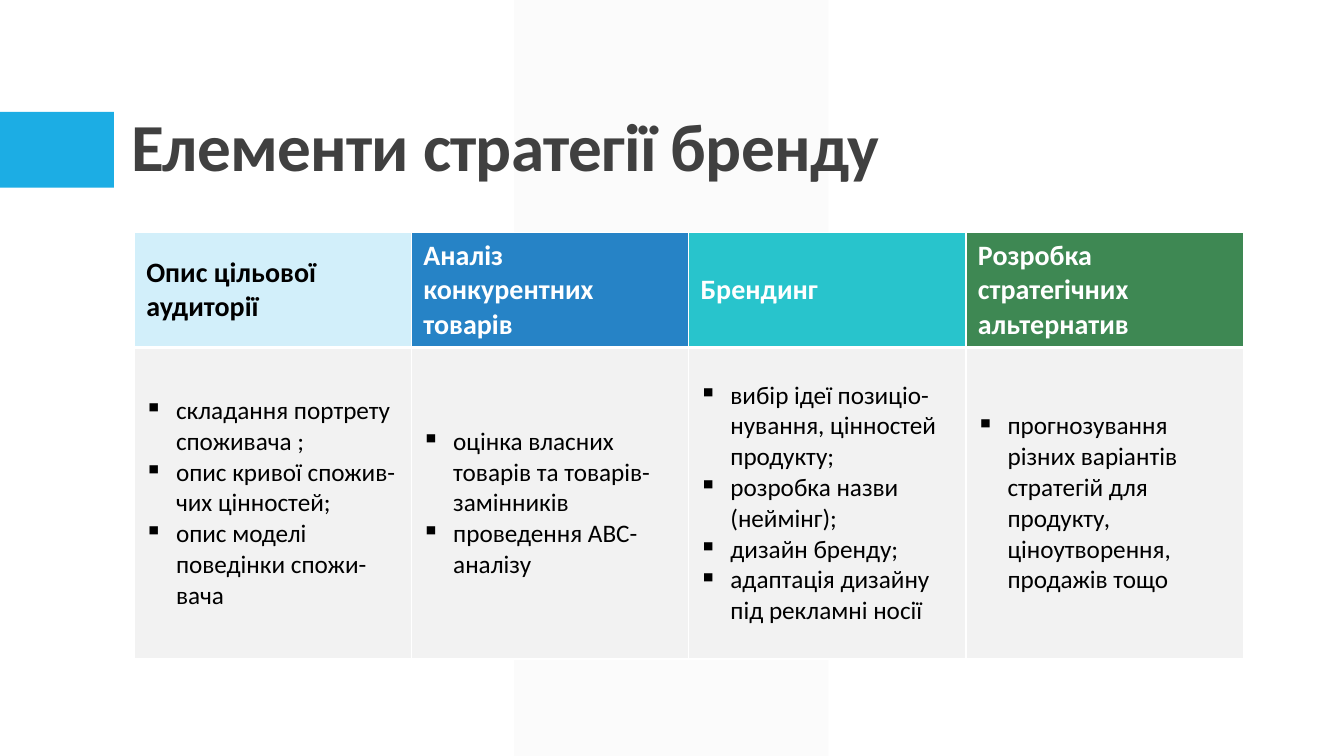
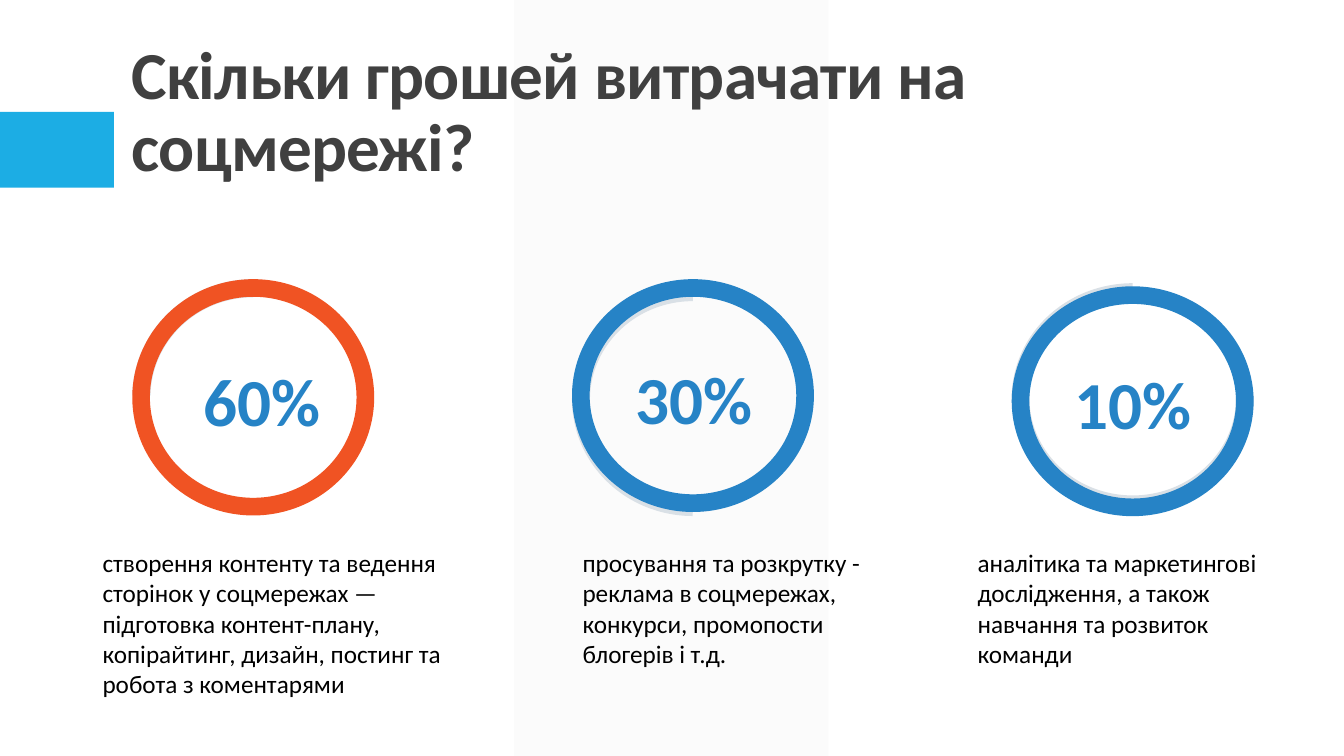
from lxml.etree import SubElement
from pptx import Presentation
from pptx.dml.color import RGBColor
from pptx.enum.shapes import MSO_SHAPE
from pptx.enum.text import MSO_ANCHOR, MSO_AUTO_SIZE, PP_ALIGN
from pptx.oxml import parse_xml
from pptx.oxml.ns import nsdecls, qn
from pptx.util import Pt

FONT = "Calibri"
BLUE, ORANGE, ACCENT = "2683C6", "F05323", "1CADE4"
BLACK, WHITE, DARK, PALE, TRACK = "000000", "FFFFFF", "404040", "F2F2F2", "D9E0E6"

TABLE_TITLE = "Елементи стратегії бренду"
COLUMNS = [
    ("Опис цільової аудиторії", "D2EFFA", BLACK,
     ["складання портрету споживача ;",
      "опис кривої спожив-чих цінностей;",
      "опис моделі поведінки спожи-вача"]),
    ("Аналіз конкурентних товарів", BLUE, WHITE,
     ["оцінка власних товарів та товарів-замінників",
      "проведення АВС-аналізу"]),
    ("Брендинг", "28C4CC", WHITE,
     ["вибір ідеї позиціо-нування, цінностей продукту;",
      "розробка назви (неймінг);",
      "дизайн бренду;",
      "адаптація дизайну під рекламні носії"]),
    ("Розробка стратегічних альтернатив", "3E8853", WHITE,
     ["прогнозування різних варіантів стратегій для продукту, "
      "ціноутворення, продажів тощо"]),
]

BUDGET_TITLE = "Скільки грошей витрачати на соцмережі?"
SHARES = [
    dict(value="60%", color=ORANGE, start=108.57, ring=(199.4, 168.8),
         track=199.4, value_at=(187.5, 253.4), note_at=(66.2, 268),
         note="створення контенту та ведення сторінок у соцмережах — підготовка "
              "контент-плану, копірайтинг, дизайн, постинг та робота з коментарями"),
    dict(value="30%", color=BLUE, start=54.06, ring=(199.4, 166.3),
         track=202.3, value_at=(496, 252), note_at=(409, 252.7),
         note="просування та розкрутку - реклама в соцмережах, конкурси, "
              "промопости блогерів і т.д."),
    dict(value="10%", color=BLUE, start=214.99, ring=(204.5, 164.2),
         track=202.3, value_at=(809.3, 255.6), note_at=(691.2, 243.4),
         note="аналітика та маркетингові дослідження, а також навчання "
              "та розвиток команди"),
]
RING_LEFT, RING_STEP, RING_WIDTH, RING_BAND = 94.5, 314.1, 172.8, 12.6


def rgb(value):
    return RGBColor.from_string(value)


def write(tf, lines, size=18, color=BLACK, bold=False, align=PP_ALIGN.LEFT,
          indent=0, line_spacing=None, tracking=None):
    for i, line in enumerate(lines):
        p = tf.paragraphs[0] if i == 0 else tf.add_paragraph()
        p.alignment = align
        if line_spacing:
            p.line_spacing = line_spacing
        if indent:
            pPr = p._p.get_or_add_pPr()
            pPr.set("marL", str(Pt(indent)))
            pPr.set("indent", str(Pt(-indent)))
            SubElement(pPr, qn("a:buChar"), char="▪")
        r = p.add_run()
        r.text = line
        r.font.name, r.font.size, r.font.bold = FONT, Pt(size), bold
        r.font.color.rgb = rgb(color)
        if tracking:
            r._r.get_or_add_rPr().set("spc", str(round(tracking * 100)))


def add_figure(shapes, kind, box, color, alpha=None):
    sp = shapes.add_shape(kind, *map(Pt, box))
    sp.shadow.inherit = False
    sp.fill.solid()
    sp.fill.fore_color.rgb = rgb(color)
    sp.line.fill.background()
    if alpha:
        clr = sp.element.spPr.find(".//" + qn("a:srgbClr"))
        SubElement(clr, qn("a:alpha"), val=str(alpha * 1000))
    return sp


def add_label(shapes, box, text, **style):
    tf = shapes.add_textbox(*map(Pt, box)).text_frame
    tf.word_wrap = True
    write(tf, [text], **style)


def decorate_master(prs, slide):
    tree = prs.slide_master.shapes.element
    parts = [((367.2, 0, 224.6, 540), PALE, 30), ((0, 80, 81.4, 54), ACCENT, None)]
    for i, (box, color, alpha) in enumerate(parts):
        sp = add_figure(slide.shapes, MSO_SHAPE.RECTANGLE, box, color, alpha)
        tree.insert(2 + i, sp.element)


def add_slide(prs, title):
    slide = prs.slides.add_slide(prs.slide_layouts[5])
    sp = slide.shapes.title
    sp.left, sp.top, sp.width, sp.height = map(Pt, (86.6, 22.4, 792, 114.4))
    tf = sp.text_frame
    tf.word_wrap = True
    tf.auto_size = MSO_AUTO_SIZE.NONE
    tf.vertical_anchor = MSO_ANCHOR.BOTTOM
    write(tf, [title], size=48, color=DARK, bold=True, line_spacing=0.9, tracking=-0.5)
    return slide


def format_cell(cell, color, bottom=1):
    cell.fill.solid()
    cell.fill.fore_color.rgb = rgb(color)
    cell.vertical_anchor = MSO_ANCHOR.MIDDLE
    tcPr = cell._tc.get_or_add_tcPr()
    for i, (side, width) in enumerate([("L", 1), ("R", 1), ("T", 1), ("B", bottom)]):
        tcPr.insert(i, parse_xml(
            f'<a:ln{side} {nsdecls("a")} w="{Pt(width)}"><a:solidFill>'
            f'<a:srgbClr val="{WHITE}"/></a:solidFill></a:ln{side}>'))


def add_strategy_table(slide):
    table = slide.shapes.add_table(
        2, len(COLUMNS), Pt(96), Pt(166.3), Pt(792), Pt(303.3)).table
    for row, height in zip(table.rows, (80.8, 222.5)):
        row.height = Pt(height)
    for i, (heading, fill, color, items) in enumerate(COLUMNS):
        table.columns[i].width = Pt(792 / len(COLUMNS))
        head, body = table.cell(0, i), table.cell(1, i)
        format_cell(head, fill, bottom=3)
        head.margin_left = head.margin_right = Pt(8.5)
        head.margin_top = head.margin_bottom = Pt(4.2)
        write(head.text_frame, [heading], size=20, color=color, bold=True)
        format_cell(body, PALE)
        write(body.text_frame, items, indent=22.5)


def add_share(slide, i, share):
    left = RING_LEFT + i * RING_STEP
    top, height = share["ring"]
    shapes = slide.shapes.add_group_shape().shapes
    track = add_figure(shapes, MSO_SHAPE.BLOCK_ARC,
                       (left, share["track"], RING_WIDTH, height), TRACK)
    for k, value in enumerate((share["start"], 161.96, 0.077)):
        track.adjustments[k] = value
    ring = add_figure(shapes, MSO_SHAPE.DONUT,
                      (left, top, RING_WIDTH, height), share["color"])
    ring.adjustments[0] = RING_BAND / height
    x, y = share["value_at"]
    add_label(shapes, (x - 55.8, y, 111.6, 65.5), share["value"], size=48,
              color=BLUE, bold=True, align=PP_ALIGN.CENTER)
    x, width = share["note_at"]
    add_label(slide.shapes, (x, 387.4, width, 116.6), share["note"])


def main():
    prs = Presentation()
    prs.slide_width, prs.slide_height = Pt(960), Pt(540)
    slide = add_slide(prs, TABLE_TITLE)
    decorate_master(prs, slide)
    add_strategy_table(slide)
    slide = add_slide(prs, BUDGET_TITLE)
    for i, share in enumerate(SHARES):
        add_share(slide, i, share)
    prs.save("out.pptx")


if __name__ == "__main__":
    main()
